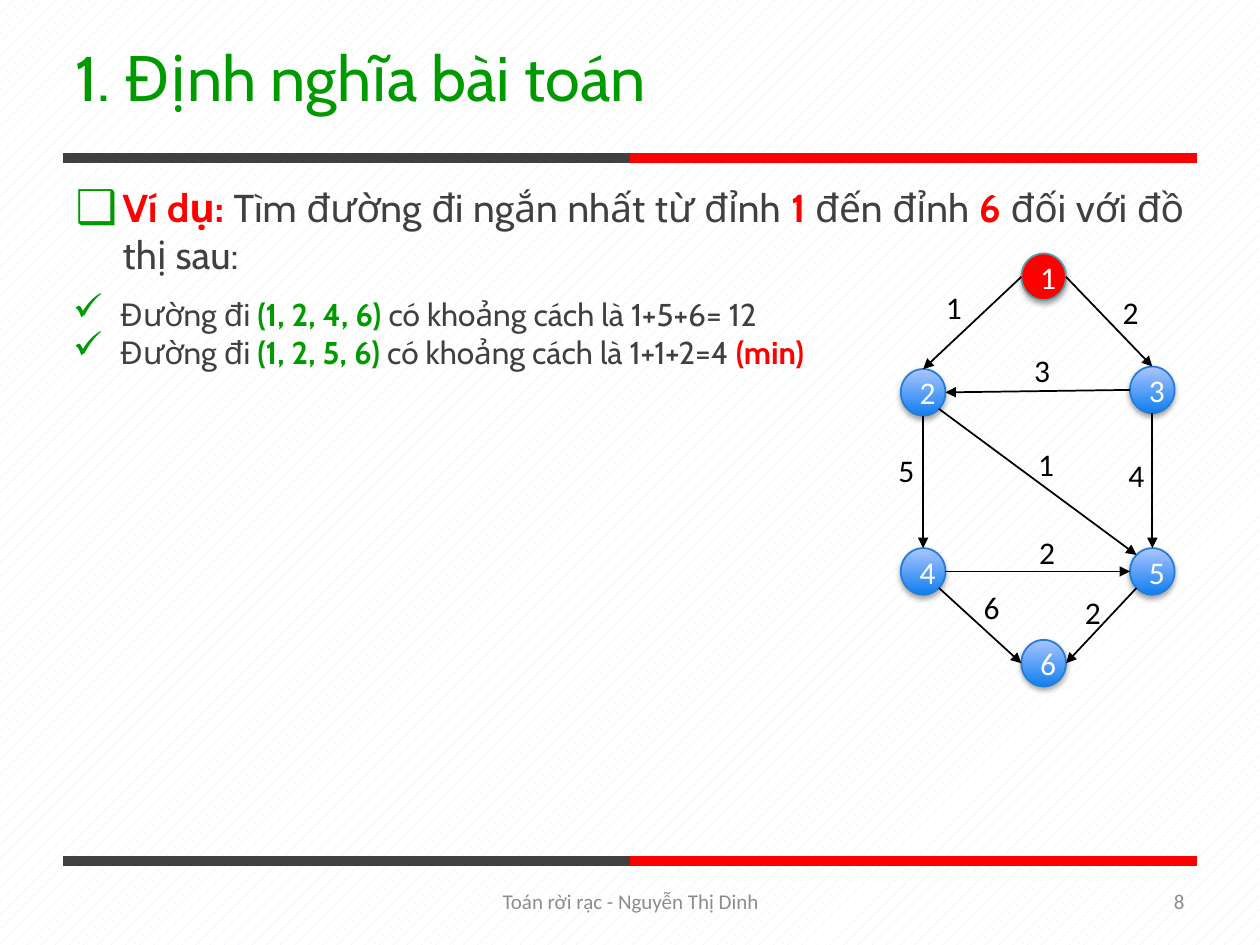
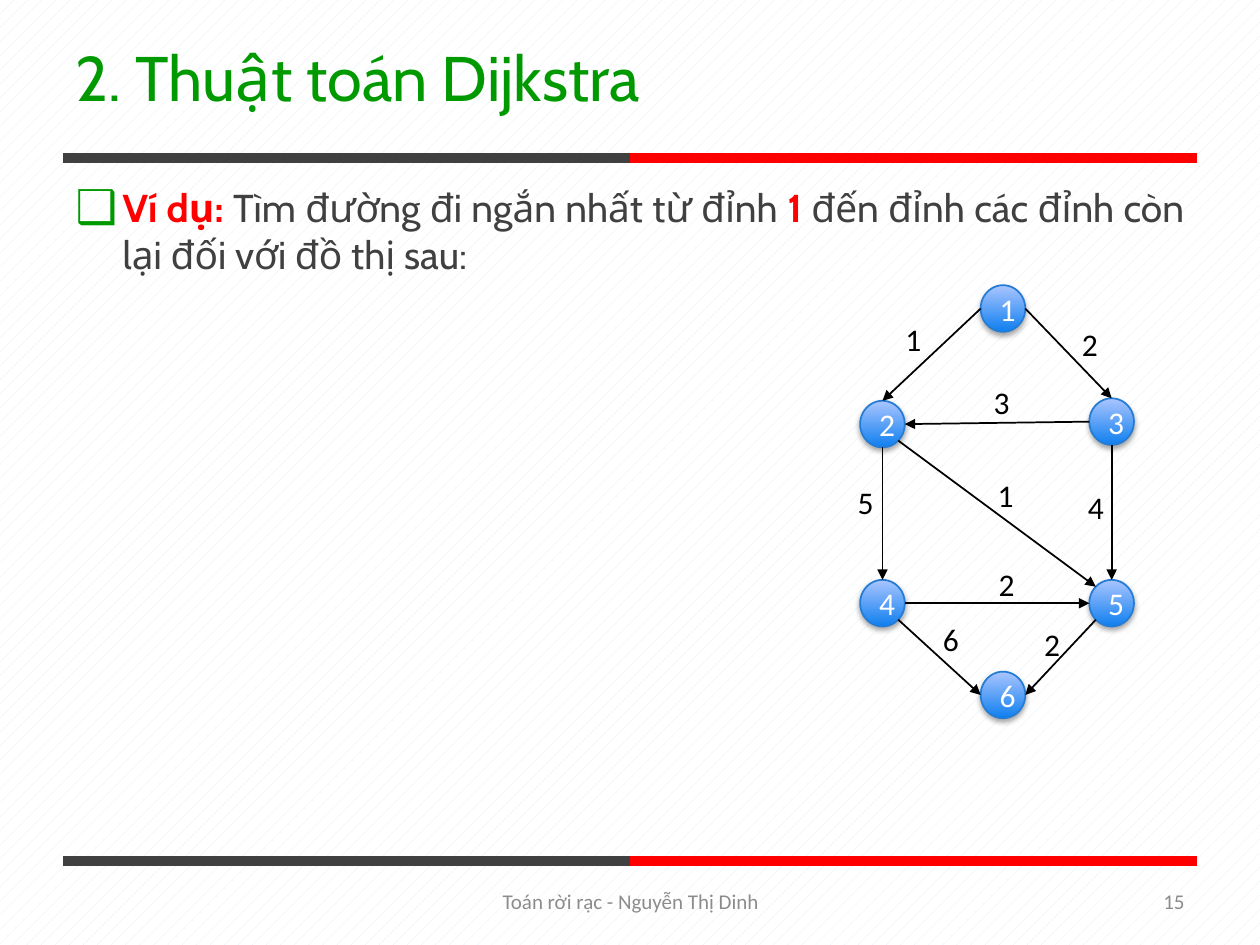
"""Build two slides on the shortest path problem in a weighted directed graph."""
from math import cos, radians, sin

from lxml.etree import SubElement
from pptx import Presentation
from pptx.dml.color import RGBColor
from pptx.enum.dml import MSO_PATTERN
from pptx.enum.shapes import MSO_CONNECTOR, MSO_SHAPE
from pptx.enum.text import MSO_ANCHOR, MSO_AUTO_SIZE, PP_ALIGN
from pptx.oxml.ns import qn
from pptx.util import Cm, Pt

COLORS = {
    "green": "009900",
    "red": "FF0000",
    "dark": "404040",
    "gray": "8C8C8C",
    "black": "000000",
    "white": "FFFFFF",
    "hatch": "E0EBF6",
    "node_bottom": "0F7FEF",
    "node_top": "AAC5FF",
    "node_line": "247CD5",
    "start_line": "56A0AC",
}
PALETTE = {name: RGBColor.from_string(value) for name, value in COLORS.items()}

TITLE_BOX = (1.27, 0.43, 22.86, 2.21)
BODY_BOX = (1.27, 3.58, 22.86, 1.78)
PATHS_BOX = (1.22, 5.82, 17.12, 2.69)
FOOTER_BOX = (8.69, 17.65, 8.05, 1.02)
NUMBER_BOX = (18.21, 17.65, 5.92, 1.02)
FOOTER = "Toán rời rạc - Nguyễn Thị Dinh"
BAND_HEIGHTS = (3.18, 17.35)
BAND_PARTS = ((1.27, 12.7, "dark"), (12.7, 24.13, "red"))
INDENT = 0.95

NODE_WIDTH, NODE_HEIGHT = 0.9, 0.94
NODES = {
    1: (21.04, 5.58),
    2: (18.61, 7.91),
    3: (23.23, 7.86),
    4: (18.61, 11.52),
    5: (23.23, 11.52),
    6: (21.04, 13.37),
}
SITE_ANGLES = {
    "right": 0, "bottom right": 45, "bottom": 90, "bottom left": 135,
    "left": 180, "top left": 225, "top": 270,
}
LABEL_SIZE = (1.5, 1.02)
EDGES = [
    (1, "left", 2, "top", "1", (18.82, 5.69)),
    (1, "right", 3, "top", "2", (22.38, 5.79)),
    (3, "left", 2, "right", "3", (20.6, 6.96)),
    (2, "bottom", 4, "top", "5", (17.86, 8.97)),
    (3, "bottom", 5, "top", "4", (22.5, 9.07)),
    (2, "bottom right", 5, "top left", "1", (20.68, 8.84)),
    (4, "right", 5, "left", "2", (20.7, 10.62)),
    (4, "bottom right", 6, "left", "6", (19.58, 11.73)),
    (5, "bottom left", 6, "right", "2", (21.62, 11.84)),
]

SLIDES = [
    {
        "title": "1. Định nghĩa bài toán",
        "number": "8",
        "task": [
            ("Ví dụ: ", "red"), ("Tìm đường đi ngắn nhất từ đỉnh ", None),
            ("1 ", "red"), ("đến đỉnh ", None), ("6 ", "red"),
            ("đối với đồ thị sau:", None),
        ],
        "paths": [
            [("Đường đi ", None), ("(1, 2, 4, 6) ", "green"),
             ("có khoảng cách là 1+5+6= 12", None)],
            [("Đường đi ", None), ("(1, 2, 5, 6) ", "green"),
             ("có khoảng cách là 1+1+2=4 ", None), ("(min)", "red")],
        ],
        "shift": (0, 0),
        "start": 1,
    },
    {
        "title": "2. Thuật toán Dijkstra",
        "number": "15",
        "task": [
            ("Ví dụ: ", "red"), ("Tìm đường đi ngắn nhất từ đỉnh ", None),
            ("1 ", "red"),
            ("đến đỉnh các đỉnh còn lại đối với đồ thị sau:", None),
        ],
        "paths": [],
        "shift": (-0.82, 0.64),
        "start": None,
    },
]


def write(shape, text, size=18, font="Calibri", color="black", align=PP_ALIGN.LEFT,
          anchor=MSO_ANCHOR.TOP, fit=MSO_AUTO_SIZE.NONE, bullet=None):
    """Fill a shape with a string or with paragraphs of (text, emphasis colour) runs."""
    frame = shape.text_frame
    frame.word_wrap = True
    frame.auto_size = fit
    frame.vertical_anchor = anchor
    paragraphs = [[(text, None)]] if isinstance(text, str) else text
    for index, runs in enumerate(paragraphs):
        paragraph = frame.add_paragraph() if index else frame.paragraphs[0]
        paragraph.alignment = align
        paragraph.space_before = Pt(0)
        for words, emphasis in runs:
            run = paragraph.add_run()
            run.text = words
            run.font.size = Pt(size)
            run.font.name = font
            run.font.bold = emphasis is not None
            run.font.color.rgb = PALETTE[emphasis or color]
        if bullet:
            properties = paragraph._p.get_or_add_pPr()
            properties.set("marL", str(Cm(INDENT)))
            properties.set("indent", str(-Cm(INDENT)))
            bullet_color = SubElement(properties, qn("a:buClr"))
            SubElement(bullet_color, qn("a:srgbClr"), val=COLORS["green"])
            SubElement(properties, qn("a:buSzPct"), val="120000")
            SubElement(properties, qn("a:buChar"), char=bullet)


def draw_line(slide, start, end, color="black", width=1, arrow=False):
    """Draw a straight line between two points given in centimetres."""
    points = [Cm(value) for value in (*start, *end)]
    line = slide.shapes.add_connector(MSO_CONNECTOR.STRAIGHT, *points)
    line.line.color.rgb = PALETTE[color]
    line.line.width = Pt(width)
    properties = line._element.spPr
    if arrow:
        SubElement(properties.find(qn("a:ln")), qn("a:tailEnd"), type="triangle")
    SubElement(properties, qn("a:effectLst"))


presentation = Presentation()
presentation.slide_width, presentation.slide_height = Cm(25.4), Cm(19.05)
background = presentation.slide_master.background.fill
background.patterned()
background.pattern = MSO_PATTERN.PERCENT_10
background.fore_color.rgb = PALETTE["hatch"]
background.back_color.rgb = PALETTE["white"]

for content in SLIDES:
    slide = presentation.slides.add_slide(presentation.slide_layouts[1])
    title, body = slide.placeholders
    for placeholder, box in ((title, TITLE_BOX), (body, BODY_BOX)):
        (placeholder.left, placeholder.top,
         placeholder.width, placeholder.height) = map(Cm, box)
    write(title, content["title"], size=36, font="Cabin", color="green",
          anchor=MSO_ANCHOR.MIDDLE)
    write(body, [content["task"]], size=22.2, font="Cabin", color="dark",
          align=PP_ALIGN.JUSTIFY, bullet="❑")

    for height in BAND_HEIGHTS:
        for left, right, color in BAND_PARTS:
            draw_line(slide, (left, height), (right, height), color, 5.75)
    for text, box, align in ((content["number"], NUMBER_BOX, PP_ALIGN.RIGHT),
                             (FOOTER, FOOTER_BOX, PP_ALIGN.CENTER)):
        write(slide.shapes.add_textbox(*map(Cm, box)), text, size=12, color="gray",
              align=align, anchor=MSO_ANCHOR.MIDDLE)

    if content["paths"]:
        write(slide.shapes.add_textbox(*map(Cm, PATHS_BOX)), content["paths"],
              font="Cabin", color="dark", align=PP_ALIGN.JUSTIFY, bullet="✓")

    shift_x, shift_y = content["shift"]
    centers = {node: (x + shift_x, y + shift_y) for node, (x, y) in NODES.items()}
    for node, (x, y) in centers.items():
        circle = slide.shapes.add_shape(
            MSO_SHAPE.OVAL, Cm(x - NODE_WIDTH / 2), Cm(y - NODE_HEIGHT / 2),
            Cm(NODE_WIDTH), Cm(NODE_HEIGHT))
        is_start = node == content["start"]
        if is_start:
            circle.fill.solid()
            circle.fill.fore_color.rgb = PALETTE["red"]
        else:
            circle.fill.gradient()
            circle.fill.gradient_angle = 90
            for stop, color in zip(circle.fill.gradient_stops,
                                   ("node_bottom", "node_top")):
                stop.color.rgb = PALETTE[color]
        circle.line.color.rgb = PALETTE["start_line" if is_start else "node_line"]
        circle.line.width = Pt(1)
        circle.shadow.inherit = False
        shadow = SubElement(
            circle._element.spPr.find(qn("a:effectLst")), qn("a:outerShdw"),
            blurRad=str(Pt(3.1)), dist=str(Pt(1.8)), dir="5400000", rotWithShape="0")
        shadow_color = SubElement(shadow, qn("a:srgbClr"), val=COLORS["black"])
        SubElement(shadow_color, qn("a:alpha"), val="35000")
        write(circle, str(node), color="white", align=PP_ALIGN.CENTER,
              anchor=MSO_ANCHOR.MIDDLE)

    for source, source_site, target, target_site, weight, (left, top) in EDGES:
        ends = []
        for node, site in ((source, source_site), (target, target_site)):
            angle = radians(SITE_ANGLES[site])
            x, y = centers[node]
            ends.append((x + NODE_WIDTH / 2 * cos(angle),
                         y + NODE_HEIGHT / 2 * sin(angle)))
        draw_line(slide, *ends, arrow=True)
        label = slide.shapes.add_textbox(
            Cm(left + shift_x), Cm(top + shift_y), *map(Cm, LABEL_SIZE))
        write(label, weight, fit=MSO_AUTO_SIZE.SHAPE_TO_FIT_TEXT)

presentation.save("out.pptx")
